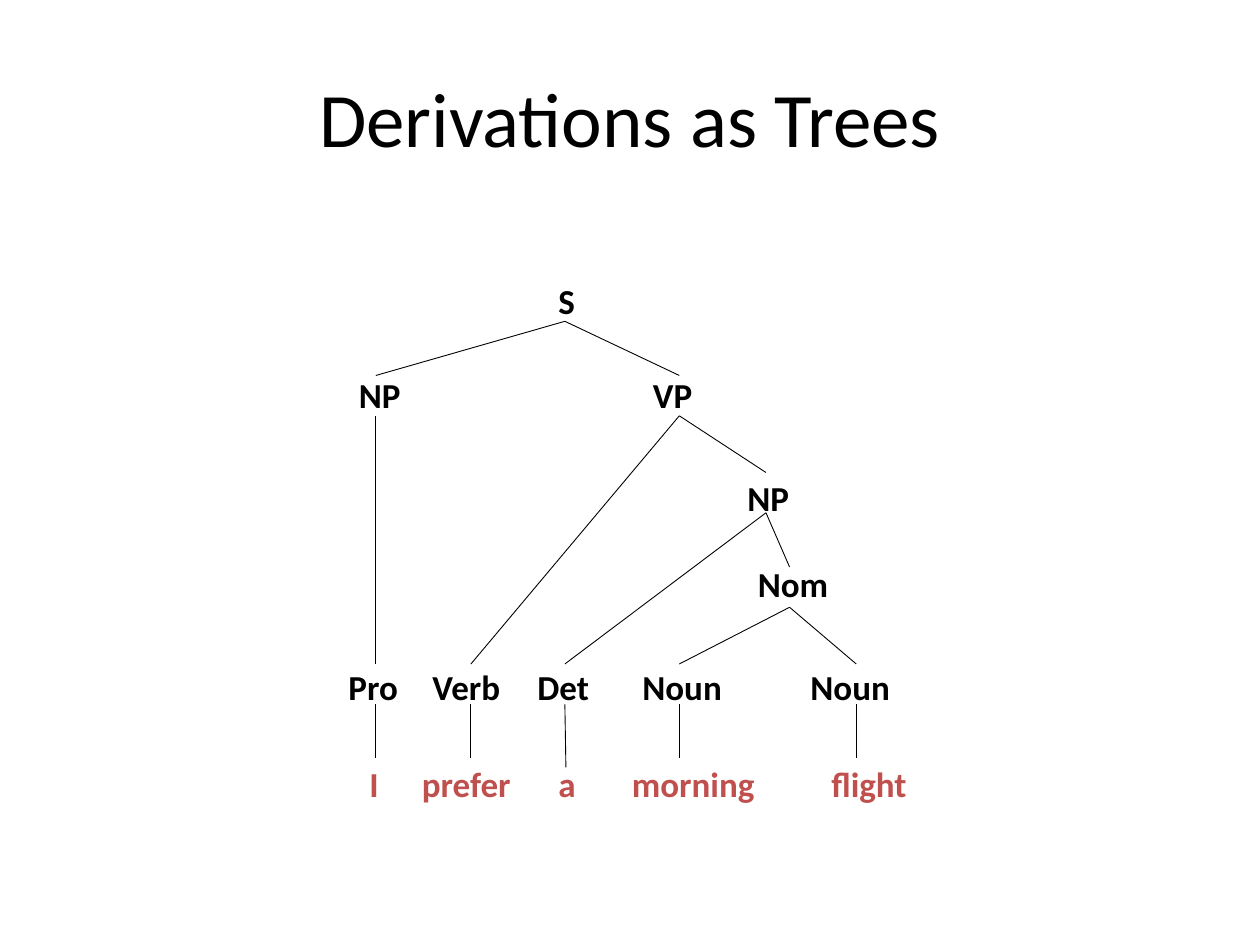
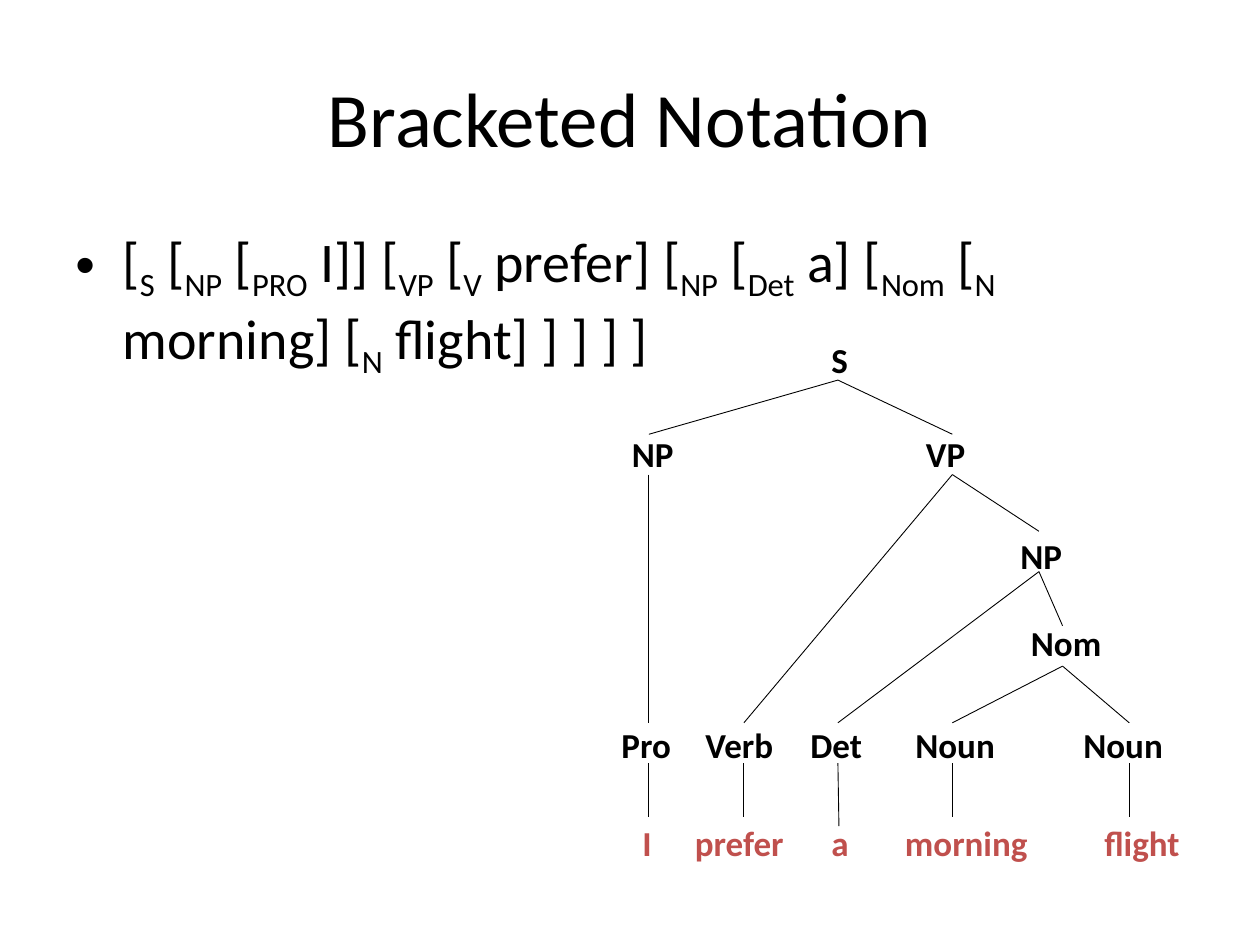
"""Build two slides that show a parse tree and its bracketed notation."""
from dataclasses import dataclass

from lxml import etree
from pptx import Presentation, util as u
from pptx.dml.color import RGBColor
from pptx.enum import shapes, text
from pptx.oxml.ns import qn

WIDE, HIGH = u.Inches(10), u.Inches(7.5)
COLS, ROWS = 120, 90
FONT, INK, RED = "Calibri", "000000", "C0504D"
LABEL = 3.84


@dataclass(frozen=True)
class Level:
    """A tier of the tree: top of its labels and of its lines, in rows."""
    row: float
    rim: float


@dataclass(frozen=True)
class Node:
    """A label, its left edge, width and line position in columns, and its parent."""
    word: str
    tier: str
    left: float
    span: float
    stem: float
    root: str = ""
    hue: str = INK
    dip: float = 0


TIERS = {
    "top": Level(0, 0.76),
    "phrase": Level(9, 9.76),
    "object": Level(18.75, 19),
    "nominal": Level(27, 28),
    "part": Level(36.75, 37.24),
    "leaf": Level(46, 46.24),
}
NODES = {
    "s": Node("S", "top", 20, 3.72, 21.8),
    "np": Node("NP", "phrase", 1, 8, 3.8, "s"),
    "vp": Node("VP", "phrase", 29, 8, 32.7, "s"),
    "obj": Node("NP", "object", 38, 8, 40.95, "vp"),
    "nom": Node("Nom", "nominal", 39, 11, 43.2, "obj"),
    "pro": Node("Pro", "part", 0, 8, 3.8, "np"),
    "verb": Node("Verb", "part", 8, 10, 12.85, "vp"),
    "det": Node("Det", "part", 18, 8, 21.8, "obj"),
    "noun": Node("Noun", "part", 28, 11, 32.7, "nom"),
    "head": Node("Noun", "part", 44, 11, 49.55, "nom"),
    "i": Node("I", "leaf", 2, 4, 3.8, "pro", RED),
    "prefer": Node("prefer", "leaf", 7, 13, 12.85, "verb", RED),
    "a": Node("a", "leaf", 20, 4, 21.9, "det", RED, 0.84),
    "morning": Node("morning", "leaf", 27, 15, 32.7, "noun", RED),
    "flight": Node("flight", "leaf", 46, 12, 49.55, "head", RED),
}
NOTE = ("[_S_ [_NP_ [_PRO_ I]] [_VP_ [_V_ prefer] [_NP_ [_Det_ a] "
        "[_Nom_ [_N_ morning] [_N_ flight] ] ] ] ]")


def across(cols: float) -> int:
    """Turn columns into a length."""
    return round(WIDE * cols / COLS)


def down(rows: float) -> int:
    """Turn rows into a length."""
    return round(HIGH * rows / ROWS)


def paint(hue: str) -> RGBColor:
    """Turn a hex string into a colour."""
    return RGBColor.from_string(hue)


def style(para, size: float, hue: str = INK, bold: bool = False) -> None:
    """Set the font of a paragraph."""
    font = para.font
    font.name, font.size, font.bold = FONT, u.Pt(size), bold
    font.color.rgb = paint(hue)


def place(shape, left: float, top: float, span: float, tall: float) -> None:
    """Move a shape to a cell of the grid."""
    shape.left, shape.top = across(left), down(top)
    shape.width, shape.height = across(span), down(tall)


def start(deck, title: str):
    """Add a slide with its title."""
    slide = deck.slides.add_slide(deck.slide_layouts[5])
    head = slide.shapes.title
    place(head, 6, 3.6, 108, 15)
    frame = head.text_frame
    frame.text = title
    frame.vertical_anchor = text.MSO_ANCHOR.MIDDLE
    para = frame.paragraphs[0]
    para.alignment = text.PP_ALIGN.CENTER
    style(para, 44)
    return slide


def link(group, node: Node, left: float, top: float) -> None:
    """Draw the line from a node's parent down to the node."""
    root = NODES[node.root]
    line = group.shapes.add_connector(
        shapes.MSO_CONNECTOR.STRAIGHT,
        across(left + root.stem), down(top + TIERS[root.tier].rim + LABEL),
        across(left + node.stem), down(top + TIERS[node.tier].rim + node.dip))
    line.line.color.rgb = paint(INK)
    line.line.width = u.Pt(0.5)
    etree.SubElement(line._element.spPr, qn("a:effectLst"))


def label(group, node: Node, left: float, top: float) -> None:
    """Write the label of a node."""
    box = group.shapes.add_textbox(0, 0, 0, 0)
    place(box, left + node.left, top + TIERS[node.tier].row, node.span, 5.2)
    frame = box.text_frame
    frame.word_wrap = True
    frame.auto_size = text.MSO_AUTO_SIZE.SHAPE_TO_FIT_TEXT
    frame.text = node.word
    style(frame.paragraphs[0], 20, node.hue, True)


def tree(slide, left: float, top: float) -> None:
    """Draw the whole tree as one group from its top left corner."""
    group = slide.shapes.add_group_shape()
    for node in NODES.values():
        if node.root:
            link(group, node, left, top)
    for node in NODES.values():
        label(group, node, left, top)


def notate(slide, note: str) -> None:
    """Write a bulleted line in which marked parts are subscripts."""
    box = slide.shapes.add_textbox(0, 0, 0, 0)
    place(box, 6, 21, 110, 63)
    box.text_frame.word_wrap = True
    para = box.text_frame.paragraphs[0]
    style(para, 32)
    for turn, part in enumerate(note.split("_")):
        run = para.add_run()
        run.text = part
        if turn % 2:
            run._r.get_or_add_rPr().set("baseline", "-25000")
    props = para._p.get_or_add_pPr()
    hang = across(4.5)
    props.set("marL", str(hang))
    props.set("indent", str(-hang))
    face = etree.Element(qn("a:buFont"), typeface="Arial")
    mark = etree.Element(qn("a:buChar"), char="•")
    props.insert(0, face)
    props.insert(1, mark)


def main() -> None:
    """Build and save the slides."""
    deck = Presentation()
    deck.slide_width, deck.slide_height = WIDE, HIGH
    tree(start(deck, "Derivations as Trees"), 32, 26)
    slide = start(deck, "Bracketed Notation")
    notate(slide, NOTE)
    tree(slide, 58, 31.6)
    deck.save("out.pptx")


if __name__ == "__main__":
    main()
